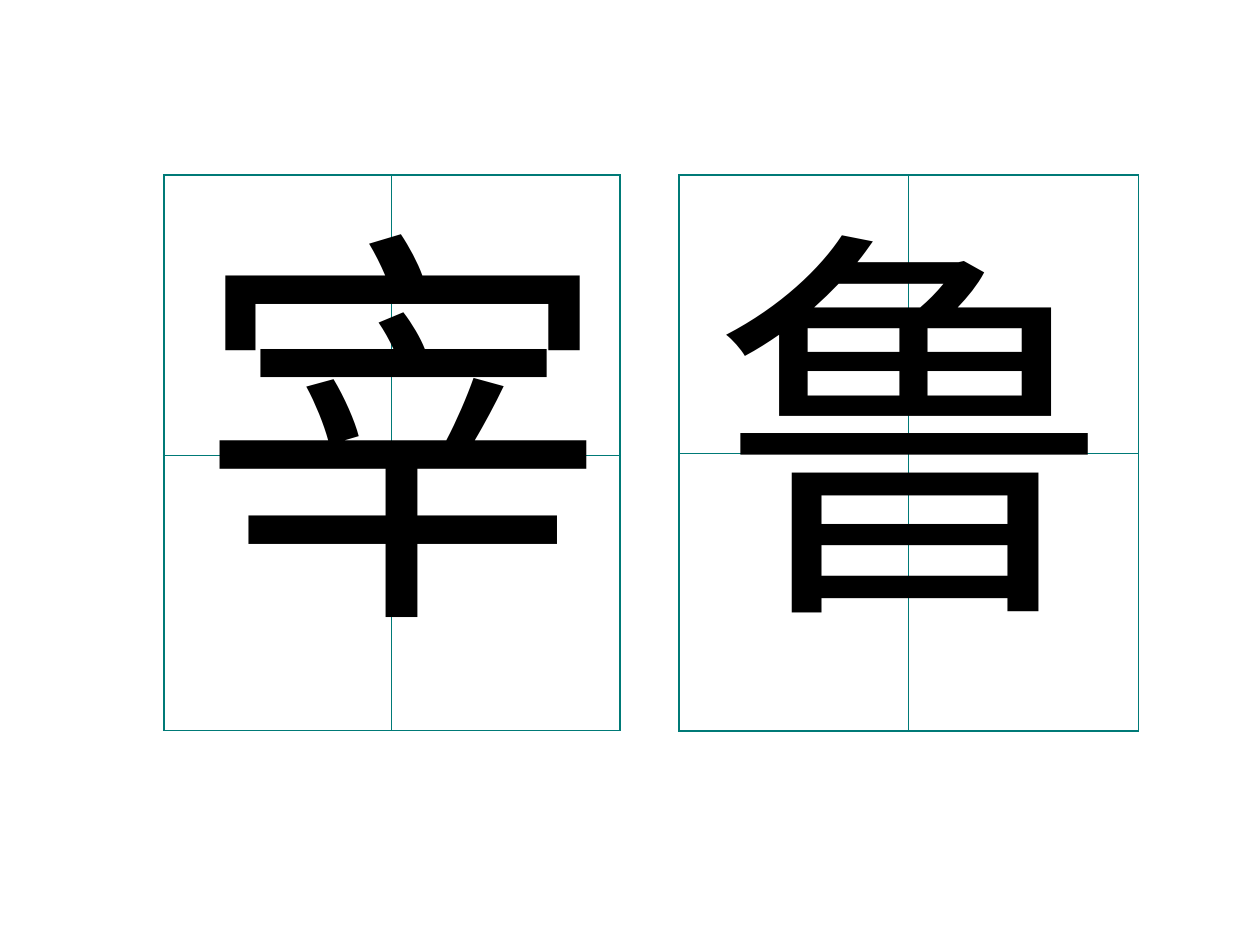
from dataclasses import dataclass
from lxml.etree import SubElement as Sub
from pptx import Presentation
from pptx.dml.color import RGBColor as RGB
from pptx.enum.text import MSO_AUTO_SIZE as Fit
from pptx.oxml.ns import qn
from pptx.util import Cm, Pt


@dataclass(frozen=True)
class Theme:
    ink: str = "000000"
    grid: str = "007A77"
    font: str = "Arial"
    outer: float = 1.08
    inner: float = 0.45


THEME = Theme()


def edge(cell, tag, width):
    """Draw one border of a cell."""
    line = Sub(cell._tc.get_or_add_tcPr(), qn(tag), w=str(Pt(width)))
    Sub(Sub(line, qn("a:solidFill")), qn("a:srgbClr"), val=THEME.grid)


def grid(slide, left, top, col, rows):
    """Two-by-two practice grid with a heavier outer frame."""
    frame = slide.shapes.add_table(
        2, 2, Cm(left), Cm(top), Cm(2 * col), Cm(sum(rows)))
    table = frame.table
    for name in ("first_row", "horz_banding"):
        setattr(table, name, False)
    for i, high in enumerate(rows):
        table.columns[i].width = Cm(col)
        table.rows[i].height = Cm(high)
    for r in range(2):
        for c in range(2):
            cell = table.cell(r, c)
            outer = {"a:lnL": c == 0, "a:lnR": c == 1,
                     "a:lnT": r == 0, "a:lnB": r == 1}
            for tag, out in outer.items():
                edge(cell, tag, THEME.outer if out else THEME.inner)
            cell.fill.background()


def glyph(slide, text, left, top, width, height, size):
    """One large character."""
    box = slide.shapes.add_textbox(Cm(left), Cm(top), Cm(width), Cm(height))
    frame = box.text_frame
    for name, value in {"word_wrap": True,
                        "auto_size": Fit.SHAPE_TO_FIT_TEXT}.items():
        setattr(frame, name, value)
    run = frame.paragraphs[0].add_run()
    run.text = text
    for name, value in {"name": THEME.font, "size": Pt(size)}.items():
        setattr(run.font, name, value)
    run.font.color.rgb = RGB.from_string(THEME.ink)


def main():
    deck = Presentation()
    deck.slide_width, deck.slide_height = Cm(25.4), Cm(19.05)
    slide = deck.slides.add_slide(deck.slide_layouts[6])

    # Practice grids
    grid(slide, 13.69, 3.53, 4.63, (5.61, 5.59))
    grid(slide, 3.3, 3.53, 4.6, (5.64, 5.56))

    # Characters
    glyph(slide, "宰", 3.71, 3.33, 8.2, 10.26, 236)
    glyph(slide, "鲁", 14.1, 3.33, 9.17, 10.13, 233)

    deck.save("out.pptx")


if __name__ == "__main__":
    main()
